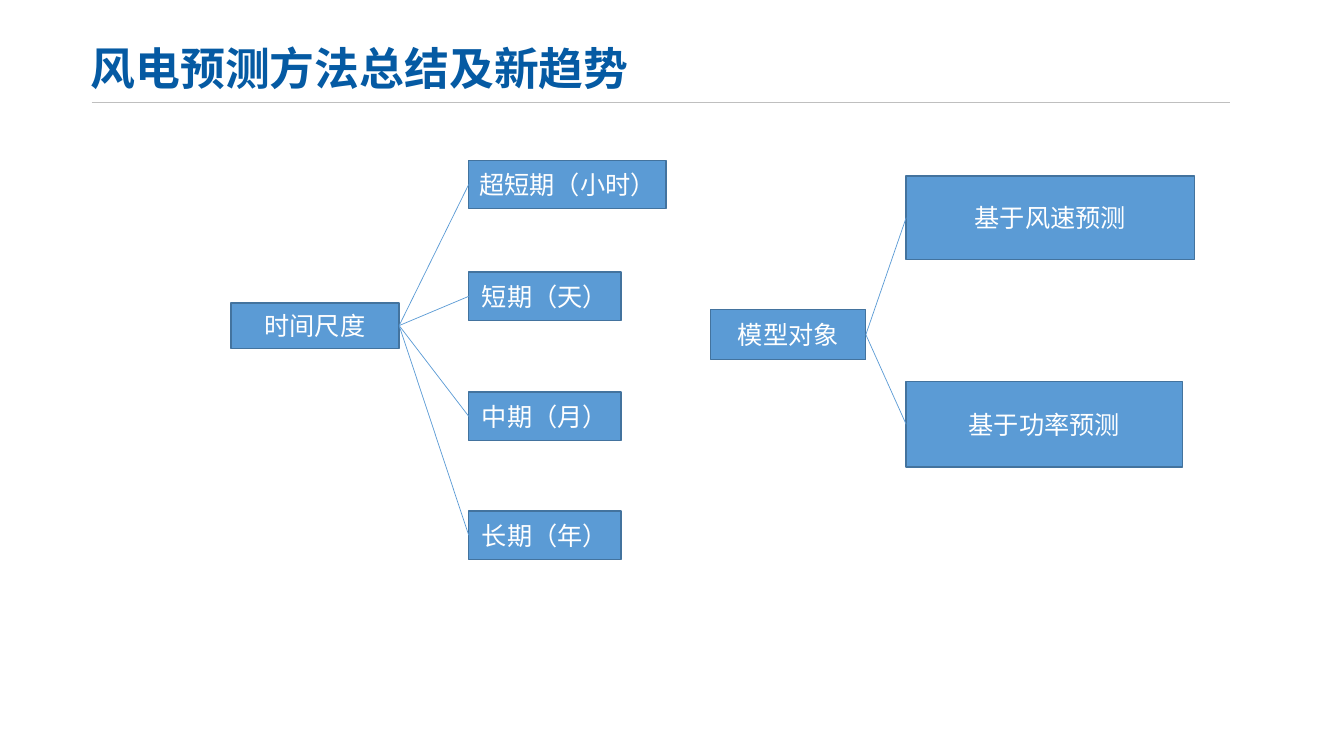
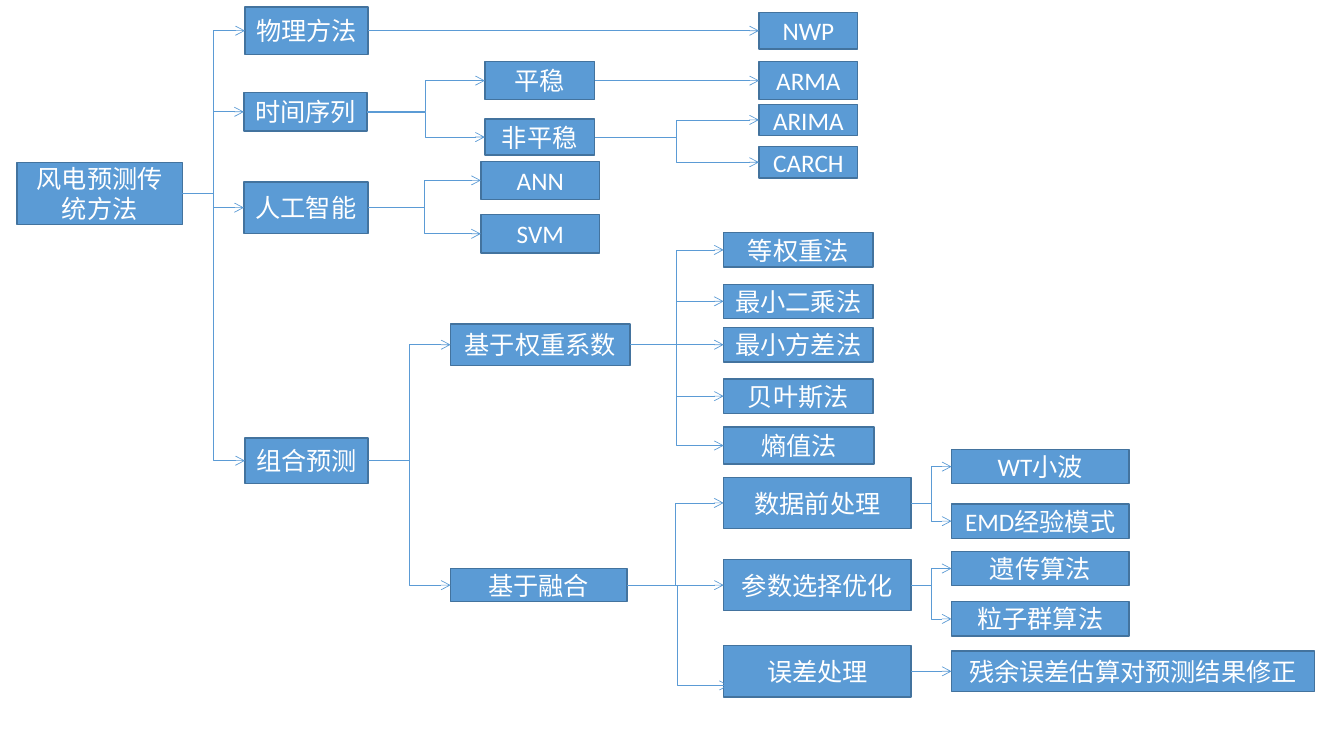
from dataclasses import dataclass
from typing import Optional

from lxml import etree
from pptx import Presentation
from pptx.dml.color import RGBColor
from pptx.enum.shapes import MSO_CONNECTOR, MSO_SHAPE
from pptx.enum.text import MSO_ANCHOR, PP_ALIGN
from pptx.oxml.ns import qn
from pptx.util import Inches, Pt

RECTANGLE = MSO_SHAPE.RECTANGLE
STRAIGHT = MSO_CONNECTOR.STRAIGHT
ELBOW = MSO_CONNECTOR.ELBOW
MIDDLE = MSO_ANCHOR.MIDDLE
LEFT, CENTER = PP_ALIGN.LEFT, PP_ALIGN.CENTER
LEFT_SIDE, RIGHT_SIDE = 1, 3

TITLE_BLUE = RGBColor(0x05, 0x5A, 0xA3)
RULE_GREY = RGBColor(0xBF, 0xBF, 0xBF)
BOX_BLUE = RGBColor(0x5B, 0x9B, 0xD5)
BORDER_BLUE = RGBColor(0x43, 0x73, 0x9E)
WHITE = RGBColor(0xFF, 0xFF, 0xFF)
LATIN_FONT = "Calibri"
CJK_FONT = "Noto Sans CJK SC"

CELL = Inches(0.1)


def cells(*counts):
    return [round(count * CELL) for count in counts]


def write(frame, text, size=18, font=LATIN_FONT, color=WHITE, bold=False, align=CENTER):
    frame.word_wrap = True
    frame.vertical_anchor = MIDDLE
    paragraph = frame.paragraphs[0]
    paragraph.alignment = align
    run = paragraph.add_run()
    run.text = text
    run.font.size = Pt(size)
    run.font.name = font
    run.font.bold = bold
    run.font.color.rgb = color
    east_asian = etree.SubElement(run.font._element, qn("a:ea"))
    east_asian.set("typeface", CJK_FONT)


@dataclass
class Node:
    label: str
    left: float
    middle: float
    width: float
    height: float
    children: tuple = ()
    entry: Optional[tuple] = None


def leaves(left, width, height, middles):
    return tuple(Node(label, left, middle, width, height) for label, middle in middles.items())


class Deck:
    def __init__(self):
        self.presentation = Presentation()
        self.presentation.slide_width = Inches(40 / 3)
        self.presentation.slide_height = Inches(7.5)
        self.slide = None

    def new_slide(self):
        self.slide = self.presentation.slides.add_slide(self.presentation.slide_layouts[6])

    def title(self, text):
        self.line((9.1, 10.1), (122, 10.1), color=RULE_GREY, weight=0.25)
        heading = self.slide.shapes.add_textbox(*cells(7.7, 3.7, 60.1, 6))
        frame = heading.text_frame
        frame.margin_left = frame.margin_right = Inches(0.13)
        frame.margin_top = frame.margin_bottom = Inches(0.07)
        write(frame, text, size=32, font=CJK_FONT, color=TITLE_BLUE, bold=True, align=LEFT)

    def box(self, node):
        top = node.middle - node.height / 2
        box = self.slide.shapes.add_shape(
            RECTANGLE, *cells(node.left, top, node.width, node.height))
        box.shadow.inherit = False
        box.fill.solid()
        box.fill.fore_color.rgb = BOX_BLUE
        box.line.color.rgb = BORDER_BLUE
        box.line.width = Pt(1)
        write(box.text_frame, node.label)
        return box

    def line(self, start, end, kind=STRAIGHT, color=BOX_BLUE, weight=0.5, arrow=False):
        line = self.slide.shapes.add_connector(kind, *cells(*start, *end))
        line.line.color.rgb = color
        line.line.width = Pt(weight)
        properties = line._element.spPr
        if arrow:
            etree.SubElement(properties.find(qn("a:ln")), qn("a:tailEnd")).set("type", "arrow")
        etree.SubElement(properties, qn("a:effectLst"))
        return line

    def tree(self, node, kind=STRAIGHT, arrow=False):
        parent_box = self.box(node)
        for child in node.children:
            child_box = self.tree(child, kind, arrow)
            link = self.line(
                (node.left + node.width, node.middle),
                child.entry or (child.left, child.middle),
                kind=STRAIGHT if child.middle == node.middle else kind,
                arrow=arrow)
            link.begin_connect(parent_box, RIGHT_SIDE)
            if child.entry is None:
                link.end_connect(child_box, LEFT_SIDE)
        return parent_box

    def save(self):
        self.presentation.save("out.pptx")


TIME_SCALE = Node("时间尺度", 22.9, 32.3, 16.7, 4.5, (
    Node("超短期（小时）", 46.5, 18.3, 19.6, 4.8),
    *leaves(46.5, 15.1, 4.8, {"短期（天）": 29.4, "中期（月）": 41.3, "长期（年）": 53.1}),
))

MODEL_TARGET = Node("模型对象", 70.5, 33.2, 15.4, 5, (
    Node("基于风速预测", 89.9, 21.6, 28.6, 8.3),
    Node("基于功率预测", 89.9, 42.1, 27.4, 8.5),
))

PHYSICAL = Node("物理方法", 24.3, 3.05, 12.2, 4.7, leaves(75.3, 9.8, 3.6, {"NWP": 3.05}))

TIME_SERIES = Node("时间序列", 24.2, 11.1, 12.2, 3.8, (
    Node("平稳", 48.1, 8, 10.9, 3.8, leaves(75.3, 9.8, 3.8, {"ARMA": 8})),
    Node("非平稳", 48.1, 13.6, 10.9, 3.6,
         leaves(75.3, 9.8, 3.1, {"ARIMA": 11.9, "CARCH": 16.1})),
))

INTELLIGENCE = Node("人工智能", 24.2, 20.6, 12.3, 5.1,
                    leaves(47.7, 11.8, 3.8, {"ANN": 17.9, "SVM": 23.2}))

WEIGHTING = Node("基于权重系数", 44.7, 34.2, 17.8, 4.1, (
    *leaves(71.8, 14.8, 3.4, {
        "等权重法": 24.8, "最小二乘法": 29.9, "最小方差法": 34.2, "贝叶斯法": 39.3}),
    Node("熵值法", 71.8, 44.2, 14.9, 3.7),
))

FUSION = Node("基于融合", 44.7, 58.05, 17.5, 3.3, (
    Node("数据前处理", 71.8, 49.9, 18.6, 5.1,
         leaves(94.4, 17.6, 3.4, {"WT小波": 46.3, "EMD经验模式": 51.7})),
    Node("参数选择优化", 71.8, 58.05, 18.6, 5.1,
         leaves(94.4, 17.6, 3.4, {"遗传算法": 56.4, "粒子群算法": 61.4})),
    Node("误差处理", 71.8, 66.6, 18.6, 5.1,
         leaves(94.4, 36, 4, {"残余误差估算对预测结果修正": 66.6}), entry=(72.3, 68)),
))

COMBINED = Node("组合预测", 24.3, 45.7, 12.2, 4.5, (WEIGHTING, FUSION))

TRADITIONAL_METHODS = Node("风电预测传统方法", 1.7, 19.2, 16.4, 6.1,
                           (PHYSICAL, TIME_SERIES, INTELLIGENCE, COMBINED))


def main():
    deck = Deck()

    deck.new_slide()
    deck.title("风电预测方法总结及新趋势")
    deck.tree(TIME_SCALE)
    deck.tree(MODEL_TARGET)

    deck.new_slide()
    deck.tree(TRADITIONAL_METHODS, kind=ELBOW, arrow=True)

    deck.save()


if __name__ == "__main__":
    main()
